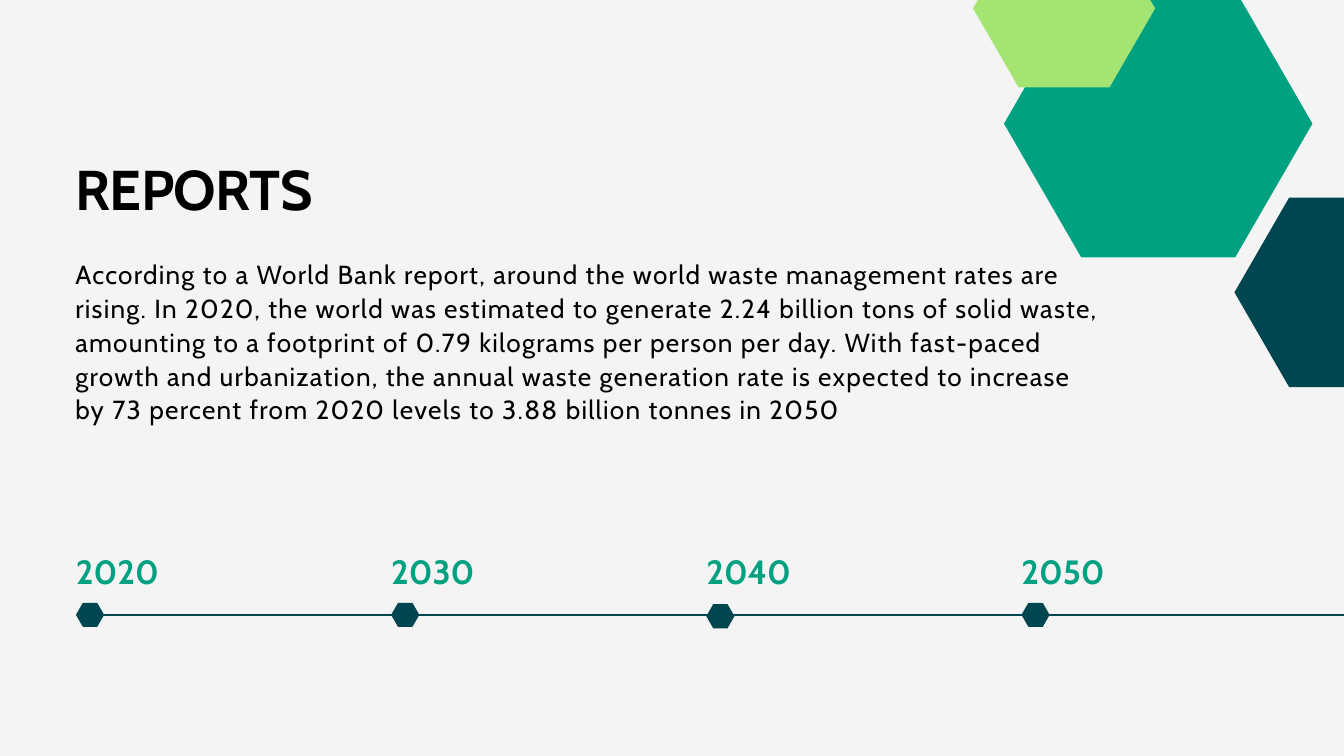
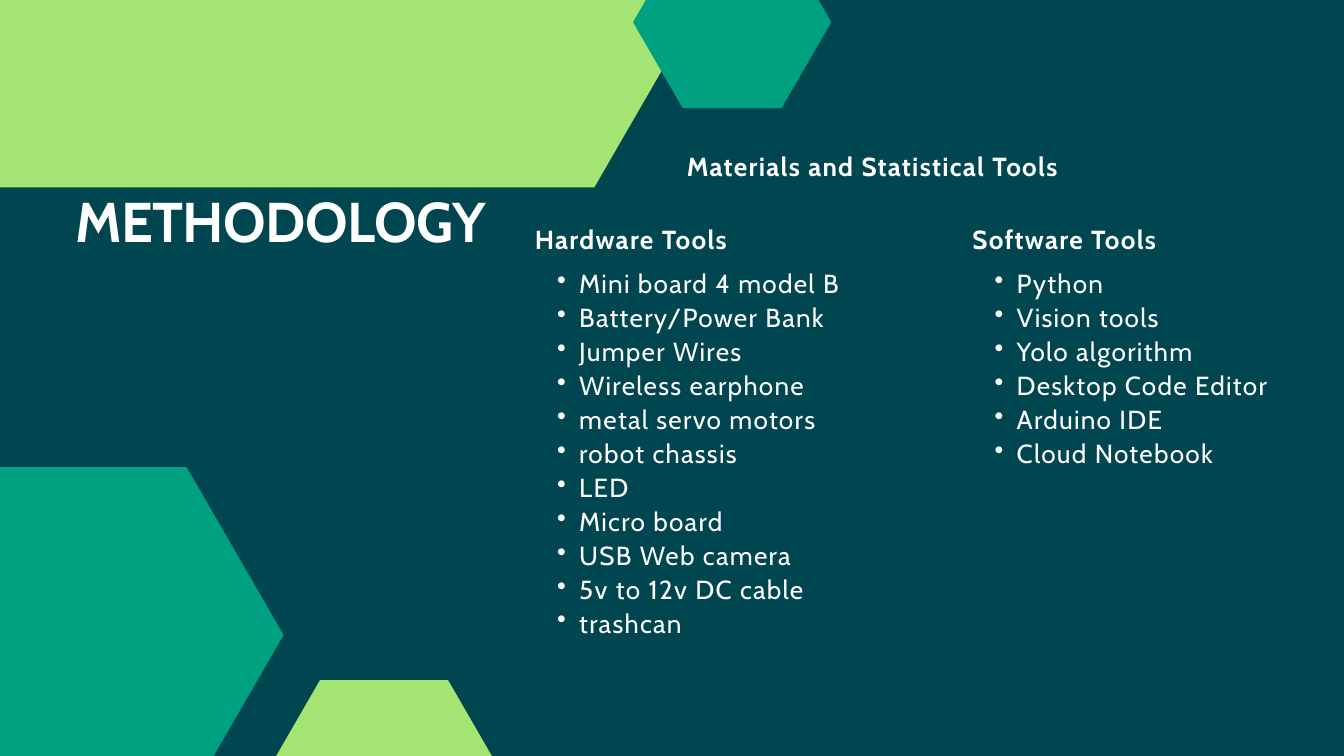
import dataclasses
import typing

import lxml.etree
import pptx
import pptx.dml.color
import pptx.enum.dml
import pptx.enum.shapes
import pptx.enum.text
import pptx.oxml.ns
import pptx.slide
import pptx.text.text
import pptx.util

Inches = pptx.util.Inches
Pt = pptx.util.Pt
Align = pptx.enum.text.PP_ALIGN


@dataclasses.dataclass(frozen=True)
class Style:
    """Size, line pitch and letter gap in points."""
    size: float
    pitch: float
    gap: float = 0
    bold: bool = False
    align: Align = Align.LEFT


@dataclasses.dataclass(frozen=True)
class Theme:
    font: str = "Cabin"
    pale: str = "F4F4F4"
    dark: str = "004651"
    green: str = "00A181"
    lime: str = "A4E473"
    black: str = "000000"
    white: str = "FFFFFF"
    title: Style = Style(60, 72, -0.6, True)
    year: Style = Style(36, 43.2, 0, True)
    body: Style = Style(28, 36.4, 1.4)
    head: Style = Style(28, 36.4, 1.4, True, Align.JUSTIFY)
    item: Style = Style(28, 36.4, 1.4, False, Align.JUSTIFY)


@dataclasses.dataclass(frozen=True)
class Hexagon:
    left: float
    top: float
    width: float
    height: float
    color: str


@dataclasses.dataclass(frozen=True)
class Stop:
    year: str
    drop: float = 0


@dataclasses.dataclass(frozen=True)
class Column:
    left: float
    head: str
    items: tuple[str, ...]


THEME = Theme()
MARGIN = 1.12
SLANT = 0.2887  # side inset of a regular hexagon, as a share of its height
INDENT = 0.33

REPORT = (
    "According to a World Bank report, around the world waste management rates "
    "are rising. In 2020, the world was estimated to generate 2.24 billion tons "
    "of solid waste, amounting to a footprint of 0.79 kilograms per person per "
    "day. With fast-paced growth and urbanization, the annual waste generation "
    "rate is expected to increase by 73 percent from 2020 levels to 3.88 billion "
    "tonnes in 2050"
)
STOPS = (Stop("2020"), Stop("2030"), Stop("2040", 0.02), Stop("2050"))
CORNER = (
    Hexagon(18.37, 2.94, 3.26, 2.82, THEME.dark),
    Hexagon(14.94, -0.15, 4.59, 3.98, THEME.green),
    Hexagon(14.48, -1.05, 2.71, 2.35, THEME.lime),
)
UPPER = (
    Hexagon(-3.19, -4.02, 14, 6.81, THEME.lime),
    Hexagon(9.42, -0.95, 2.95, 2.56, THEME.green),
)
LOWER = (
    Hexagon(-1.55, 6.95, 5.77, 5, THEME.green),
    Hexagon(3.81, 10.12, 3.81, 3.3, THEME.lime),
)
COLUMNS = (
    Column(7.96, "Hardware Tools", (
        "Mini board 4 model B", "Battery/Power Bank", "Jumper Wires",
        "Wireless earphone", "metal servo motors", "robot chassis", "LED",
        "Micro board", "USB Web camera", "5v to 12v DC cable", "trashcan",
    )),
    Column(14.47, "Software Tools", (
        "Python", "Vision tools", "Yolo algorithm", "Desktop Code Editor",
        "Arduino IDE", "Cloud Notebook",
    )),
)


def rgb(code: str) -> pptx.dml.color.RGBColor:
    return pptx.dml.color.RGBColor.from_string(code)


def add_page(deck: typing.Any, color: str) -> pptx.slide.Slide:
    page = deck.slides.add_slide(deck.slide_layouts[6])
    fill = page.background.fill
    fill.solid()
    fill.fore_color.rgb = rgb(color)
    return page


def draw_hex(page: pptx.slide.Slide, hexagon: Hexagon) -> None:
    shape = page.shapes.add_shape(
        pptx.enum.shapes.MSO_SHAPE.HEXAGON,
        Inches(hexagon.left), Inches(hexagon.top),
        Inches(hexagon.width), Inches(hexagon.height),
    )
    shape.adjustments[0] = SLANT
    shape.shadow.inherit = False
    shape.fill.solid()
    shape.fill.fore_color.rgb = rgb(hexagon.color)
    shape.line.fill.background()


def draw_all(page: pptx.slide.Slide, group: tuple[Hexagon, ...]) -> None:
    for hexagon in group:
        draw_hex(page, hexagon)


def draw_line(page: pptx.slide.Slide, left: float, right: float,
              level: float) -> None:
    line = page.shapes.add_connector(
        pptx.enum.shapes.MSO_CONNECTOR.STRAIGHT,
        Inches(left), Inches(level), Inches(right), Inches(level),
    )
    line.line.color.rgb = rgb(THEME.dark)
    line.line.width = Pt(1.5)
    tag = pptx.oxml.ns.qn("a:effectLst")
    lxml.etree.SubElement(line._element.spPr, tag)


def add_bullet(para: pptx.text.text._Paragraph) -> None:
    para.level = 1
    props = para._p.get_or_add_pPr()
    props.set("marL", str(Inches(2 * INDENT)))
    props.set("indent", str(-Inches(INDENT)))
    mark = lxml.etree.SubElement(props, pptx.oxml.ns.qn("a:buChar"))
    mark.set("char", "•")


def add_text(page: pptx.slide.Slide, lines: tuple[str, ...], left: float,
             top: float, width: float, height: float, style: Style,
             color: str, bullet: bool = False) -> None:
    """Write one paragraph per line in a box without margins."""
    box = page.shapes.add_textbox(
        Inches(left), Inches(top), Inches(width), Inches(height))
    frame = box.text_frame
    layout = {
        "word_wrap": True,
        "auto_size": pptx.enum.text.MSO_AUTO_SIZE.SHAPE_TO_FIT_TEXT,
        "margin_left": 0, "margin_top": 0,
        "margin_right": 0, "margin_bottom": 0,
    }
    for name, value in layout.items():
        setattr(frame, name, value)
    look = {"name": THEME.font, "size": Pt(style.size), "bold": style.bold}
    for spot, line in enumerate(lines):
        para = frame.add_paragraph() if spot else frame.paragraphs[0]
        if bullet:
            add_bullet(para)
        para.alignment = style.align
        para.line_spacing = Pt(style.pitch)
        run = para.add_run()
        run.text = line
        for name, value in look.items():
            setattr(run.font, name, value)
        run.font.color.rgb = rgb(color)
        if style.gap:
            run._r.get_or_add_rPr().set("spc", str(round(style.gap * 100)))


def add_title(page: pptx.slide.Slide, text: str, top: float, width: float,
              color: str) -> None:
    add_text(page, (text,), MARGIN, top, width, 1.01, THEME.title, color)


def build_reports(deck: typing.Any) -> None:
    page = add_page(deck, THEME.pale)
    draw_line(page, 1.39, 20, 9.15)
    for spot, stop in enumerate(STOPS):
        left = 1.13 + 4.69 * spot
        add_text(page, (stop.year,), left, 8.2, 3.68, 0.6,
                 THEME.year, THEME.green)
        draw_hex(page, Hexagon(left, 8.97 + stop.drop, 0.42, 0.36, THEME.dark))
    draw_all(page, CORNER)
    add_title(page, "REPORTS", 2.3, 3.59, THEME.black)
    add_text(page, (REPORT,), MARGIN, 3.8, 15.35, 2.99,
             THEME.body, THEME.black)


def build_method(deck: typing.Any) -> None:
    page = add_page(deck, THEME.dark)
    draw_all(page, UPPER)
    add_title(page, "METHODOLOGY", 2.78, 6.2, THEME.white)
    add_text(page, ("Materials and Statistical Tools",), 10.22, 2.2,
             6.34, 0.49, THEME.head, THEME.white)
    for column in COLUMNS:
        add_text(page, (column.head,), column.left, 3.29, 6.34, 0.49,
                 THEME.head, THEME.white)
        height = len(column.items) * THEME.item.pitch / 72
        add_text(page, column.items, column.left, 3.94, 6.34, height,
                 THEME.item, THEME.white, bullet=True)
    draw_all(page, LOWER)


def main() -> None:
    deck = pptx.Presentation()
    deck.slide_width = Inches(20)
    deck.slide_height = Inches(11.25)
    build_reports(deck)
    build_method(deck)
    deck.save("out.pptx")


if __name__ == "__main__":
    main()
